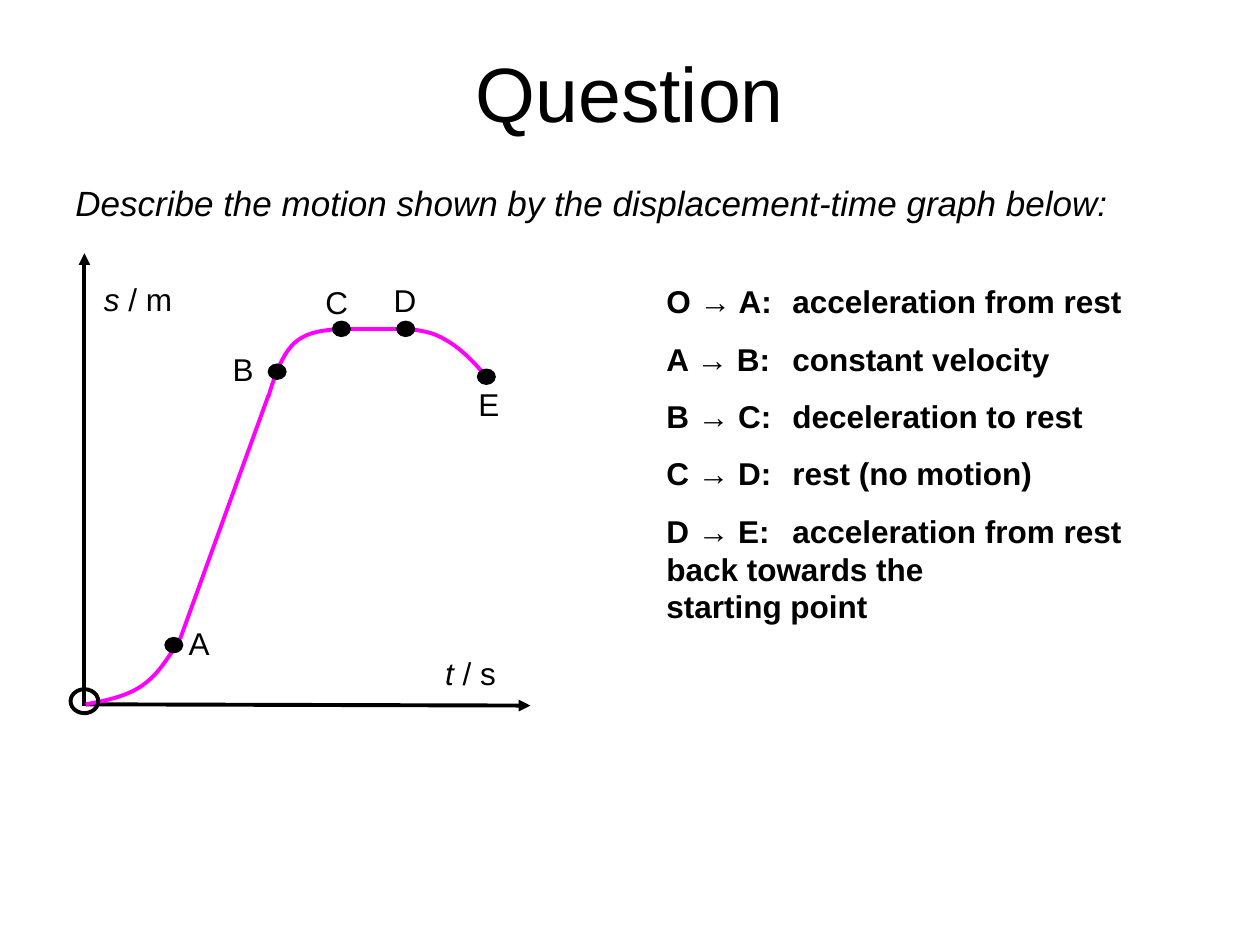
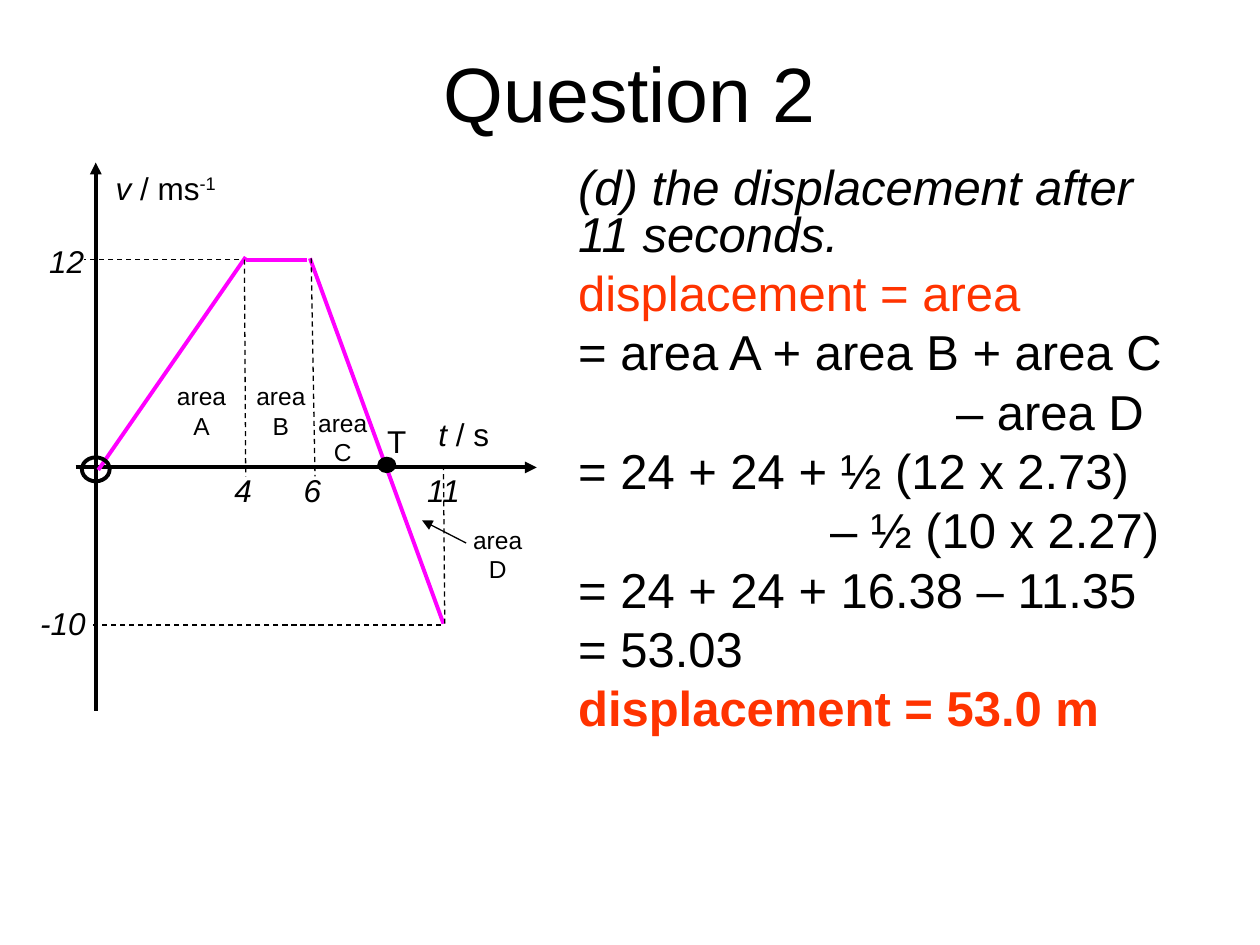
from lxml.etree import SubElement
from pptx import Presentation
from pptx.dml.color import RGBColor
from pptx.enum.dml import MSO_LINE
from pptx.enum.shapes import MSO_CONNECTOR, MSO_SHAPE
from pptx.enum.text import MSO_ANCHOR, PP_ALIGN
from pptx.oxml.ns import qn
from pptx.util import Inches, Pt

BLACK = RGBColor(0x00, 0x00, 0x00)
MAGENTA = RGBColor(0xFF, 0x00, 0xFF)
RED = RGBColor(0xFF, 0x33, 0x00)
FONT = "Arial"
AXIS = dict(color=BLACK, width=2.25, arrow=True)
CURVE = dict(color=MAGENTA, width=2.25)
GUIDE = dict(color=BLACK, width=0.75, dash=True)

deck = Presentation()
deck.slide_width, deck.slide_height = Inches(10), Inches(7.5)
# The slide is a grid of 100 columns by 75 rows.
COL, ROW = deck.slide_width / 100, deck.slide_height / 75


def write(slide, box, paragraphs, size, align=PP_ALIGN.LEFT, middle=False,
          before=0, spacing=None):
    """Write paragraphs of (text, marks) runs; marks: i, b, r = red, ^ = raised."""
    left, top, width, height = box
    frame = slide.shapes.add_textbox(int(left * COL), int(top * ROW),
                                     int(width * COL), int(height * ROW)).text_frame
    frame.word_wrap = True
    frame.vertical_anchor = MSO_ANCHOR.MIDDLE if middle else MSO_ANCHOR.TOP
    for number, runs in enumerate(paragraphs):
        paragraph = frame.add_paragraph() if number else frame.paragraphs[0]
        paragraph.alignment = align
        paragraph.space_before = Pt(before if number else 0)
        paragraph.line_spacing = spacing
        for text, marks in runs:
            for part, piece in enumerate(text.split("\n")):
                if part:
                    paragraph.add_line_break()
                run = paragraph.add_run()
                run.text = piece
                font = run.font
                font.name, font.size = FONT, Pt(size)
                font.italic, font.bold = "i" in marks, "b" in marks
                font.color.rgb = RED if "r" in marks else BLACK
                if "^" in marks:
                    run._r.get_or_add_rPr().set("baseline", "30000")
    return frame


def draw_line(slide, start, end, color, width, dash=False, arrow=False):
    line = slide.shapes.add_connector(
        MSO_CONNECTOR.STRAIGHT, int(start[0] * COL), int(start[1] * ROW),
        int(end[0] * COL), int(end[1] * ROW))
    line.line.color.rgb = color
    line.line.width = Pt(width)
    if dash:
        line.line.dash_style = MSO_LINE.DASH
    properties = line._element.spPr
    if arrow:
        SubElement(properties.find(qn("a:ln")), qn("a:tailEnd"), type="triangle")
    SubElement(properties, qn("a:effectLst"))


motion, velocity = [deck.slides.add_slide(deck.slide_layouts[6]) for _ in range(2)]
for slide, title in ((motion, "Question"), (velocity, "Question 2")):
    write(slide, (5, 3, 90, 8.6), [[(title, "")]], 44, PP_ALIGN.CENTER, middle=True)

# Displacement-time graph
write(motion, (5, 13.9, 88.7, 5.4),
      [[("Describe the motion shown by the displacement-time graph below:", "i")]], 20)
draw_line(motion, (6.7, 56), (6.7, 20.1), **AXIS)
draw_line(motion, (6.8, 55.9), (42.1, 56), **AXIS)
draw_line(motion, (14.3, 50.7), (21.3, 31.4), **CURVE)
draw_line(motion, (27.2, 26.1), (32.1, 26.1), **CURVE)

# Each bend is two Bézier arcs that share their middle point.
bends = [
    [(6.8, 55.9), (8.4, 55.6), (10, 55.3), (11.3, 54.4), (12.6, 53.5), (13.4, 52.1), (14.3, 50.7)],
    [(21.3, 31.5), (21.8, 29.8), (22.4, 28.1), (23.4, 27.2), (24.4, 26.3), (25.8, 26.2), (27.2, 26.1)],
    [(32.1, 26.1), (33.2, 26.2), (34.3, 26.3), (35.4, 27), (36.5, 27.6), (37.6, 28.7), (38.6, 29.9)],
]
STEPS = 10
for bend in bends:
    trace = []
    for arc in (bend[:4], bend[3:]):
        for step in range(STEPS + 1):
            t = step / STEPS
            weights = ((1 - t) ** 3, 3 * t * (1 - t) ** 2, 3 * t * t * (1 - t), t ** 3)
            trace.append((sum(w * x for w, (x, y) in zip(weights, arc)) * COL,
                          sum(w * y for w, (x, y) in zip(weights, arc)) * ROW))
    builder = motion.shapes.build_freeform(*trace[0])
    builder.add_line_segments(trace[1:], close=False)
    curve = builder.convert_to_shape()
    curve.fill.background()
    curve.line.color.rgb = MAGENTA
    curve.line.width = Pt(2.25)
    curve.shadow.inherit = False

stages = [
    ("O → A:", "acceleration from rest"),
    ("A → B:", "constant velocity"),
    ("B → C:", "deceleration to rest"),
    ("C → D:", "rest (no motion)"),
    ("D → E:", "acceleration from rest\nback towards the\nstarting point"),
]
answers = write(motion, (51.9, 21.9, 39.9, 32.8),
                [[(f"{stage}\t{answer}", "b")] for stage, answer in stages],
                18, before=11.2)
for paragraph in answers.paragraphs:
    tabs = SubElement(paragraph._p.get_or_add_pPr(), qn("a:tabLst"))
    SubElement(tabs, qn("a:tab"), pos=str(int(10 * COL)), algn="l")

# Velocity-time graph
working = write(velocity, (44.9, 12.8, 51.1, 50.6), [
    [("(d) the displacement after 11 seconds.", "i")],
    [("displacement = area", "r")],
    [("= area A + area B + area C", "")],
    [("– area D", "")],
    [("= 24 + 24 + ½ (12 x 2.73)", "")],
    [("– ½ (10 x 2.27)", "")],
    [("= 24 + 24 + 16.38 – 11.35", "")],
    [("= 53.03", "")],
    [("displacement = 53.0 m", "rb")],
], 28, before=7, spacing=0.8)
for row, indent in ((3, 30), (5, 20)):
    working.paragraphs[row]._p.get_or_add_pPr().set("marL", str(int(indent * COL)))

TOP, BOTTOM = 20.6, 49.6
draw_line(velocity, (7.6, 56.4), (7.6, 12.9), **AXIS)
draw_line(velocity, (6, 37.1), (42.6, 37.1), **AXIS)
for start, end in (((7.8, 37.3), (19.5, 20.4)), ((19.5, TOP), (24.4, TOP)),
                   ((35.2, 49.5), (24.6, 20.5))):
    draw_line(velocity, start, end, **CURVE)
for start, end in (((19, TOP), (6.7, TOP)), ((35, BOTTOM), (7.2, BOTTOM)),
                   ((19.4, TOP), (19.5, 37.8)), ((24.7, 20.5), (25, 37.8)),
                   ((35.3, 49.5), (35.2, 37.2))):
    draw_line(velocity, start, end, **GUIDE)
draw_line(velocity, (37, 43.1), (33.5, 41.3), BLACK, 0.75, arrow=True)

# Marked points and origins, by centre
points = [(motion, 13.8, 51.2), (motion, 22, 29.5), (motion, 27.1, 26.1),
          (motion, 32.2, 26.1), (motion, 38.6, 29.9), (velocity, 30.7, 36.9)]
origins = [(motion, 6.7, 55.65), (velocity, 7.6, 37.25)]
for marks, width, height, outline, filled in ((points, 1.4, 1.2, 0.75, True),
                                              (origins, 2.2, 1.9, 2.25, False)):
    for slide, x, y in marks:
        mark = slide.shapes.add_shape(
            MSO_SHAPE.OVAL, int((x - width / 2) * COL), int((y - height / 2) * ROW),
            int(width * COL), int(height * ROW))
        mark.shadow.inherit = False
        mark.line.color.rgb = BLACK
        mark.line.width = Pt(outline)
        if filled:
            mark.fill.solid()
            mark.fill.fore_color.rgb = BLACK
        else:
            mark.fill.background()

# Graph labels, by centre; the width grows with the number of characters
labels = [
    (motion, 10.95, 23.7, [("s", "i"), (" / m", "")]),
    (motion, 37.35, 53.4, [("t", "i"), (" / s", "")]),
    (motion, 15.8, 51, [("A", "")]),
    (motion, 19.3, 29.3, [("B", "")]),
    (motion, 26.7, 24, [("C", "")]),
    (motion, 32.1, 23.8, [("D", "")]),
    (motion, 38.8, 32.1, [("E", "")]),
    (velocity, 13.15, 14.9, [("v", "i"), (" / ms", ""), ("-1", "^")]),
    (velocity, 36.8, 34.4, [("t", "i"), (" / s", "")]),
    (velocity, 31.5, 35, [("T", "")]),
    (velocity, 5.3, 20.7, [("12", "i")]),
    (velocity, 5, 49.4, [("-10", "i")]),
    (velocity, 19.3, 38.9, [("4", "i")]),
    (velocity, 24.8, 38.9, [("6", "i")]),
    (velocity, 35.2, 38.9, [("11", "i")]),
]
for slide, x, y, runs in labels:
    width = 2 + 1.7 * sum(len(text) for text, marks in runs)
    write(slide, (x - width / 2, y - 2, width, 4), [runs], 18,
          PP_ALIGN.CENTER, middle=True)
for area, x, y in (("A", 16, 32.6), ("B", 22.3, 32.6), ("C", 27.2, 34.7), ("D", 39.5, 44)):
    write(velocity, (x - 3.5, y - 2.85, 7, 5.7), [[("area", "")], [(area, "")]], 14,
          PP_ALIGN.CENTER, middle=True)

deck.save("out.pptx")
